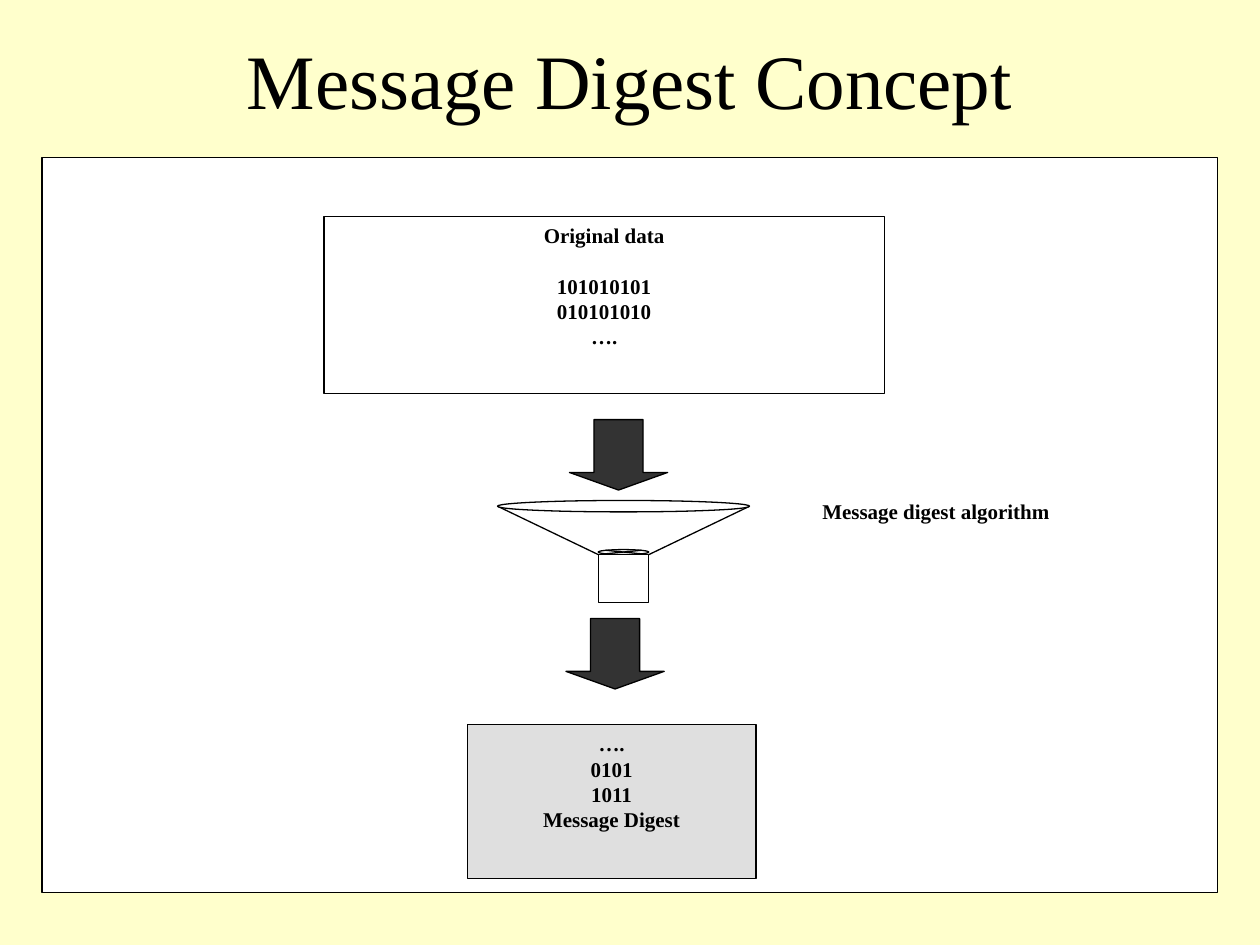
import pptx
import pptx.dml.color
import pptx.enum.shapes
import pptx.enum.text
import pptx.oxml.ns
import pptx.util
from lxml import etree
from pptx.util import Cm

COLORS = {
    "background": "FFFFCC",
    "white": "FFFFFF",
    "ink": "000000",
    "arrow": "333333",
    "digest": "C0C0C0",
}
FONT = "Times New Roman"
SHAPE = pptx.enum.shapes.MSO_SHAPE
ANCHOR = pptx.enum.text.MSO_ANCHOR


def color(name):
    return pptx.dml.color.RGBColor.from_string(COLORS[name])


class SlideBuilder:
    """Draws elements on one slide in a shared style; lengths are centimetres."""

    def __init__(self, slide):
        self.slide = slide
        self.line_width = pptx.util.Pt(0.75)
        slide.background.fill.solid()
        slide.background.fill.fore_color.rgb = color("background")

    def set_text(self, shape, lines, size, bold, anchor, gap_before=None):
        """Fill a shape with centred lines; gap_before is the index of the line set apart."""
        frame = shape.text_frame
        frame.word_wrap = True
        frame.vertical_anchor = anchor
        for index, line in enumerate(lines):
            paragraph = frame.add_paragraph() if index else frame.paragraphs[0]
            paragraph.text = line
            paragraph.alignment = pptx.enum.text.PP_ALIGN.CENTER
            if index == gap_before:
                paragraph.space_before = pptx.util.Pt(14.4)
            font = paragraph.font
            font.name = FONT
            font.size = pptx.util.Pt(size)
            font.bold = bold
            font.color.rgb = color("ink")

    def title(self, text, left, top, width, height):
        box = self.slide.shapes.add_textbox(Cm(left), Cm(top), Cm(width), Cm(height))
        self.set_text(box, [text], 44, False, ANCHOR.MIDDLE)

    def shape(self, kind, left, top, width, height, fill="white", outlined=True, opacity=100):
        shape = self.slide.shapes.add_shape(kind, Cm(left), Cm(top), Cm(width), Cm(height))
        shape.shadow.inherit = False
        shape.fill.solid()
        shape.fill.fore_color.rgb = color(fill)
        if opacity < 100:
            rgb = shape._element.spPr.find(".//" + pptx.oxml.ns.qn("a:srgbClr"))
            etree.SubElement(rgb, pptx.oxml.ns.qn("a:alpha"), val=str(opacity * 1000))
        if outlined:
            shape.line.color.rgb = color("ink")
            shape.line.width = self.line_width
        else:
            shape.line.fill.background()
        return shape

    def text_box(self, lines, left, top, width, height, gap_before=None, **style):
        shape = self.shape(SHAPE.RECTANGLE, left, top, width, height, **style)
        self.set_text(shape, lines, 12, True, ANCHOR.TOP, gap_before)

    def line(self, start, end):
        connector = self.slide.shapes.add_connector(
            pptx.enum.shapes.MSO_CONNECTOR.STRAIGHT, *map(Cm, start + end))
        connector.line.color.rgb = color("ink")
        connector.line.width = self.line_width
        etree.SubElement(connector._element.spPr, pptx.oxml.ns.qn("a:effectLst"))

    def funnel(self, center, rim_top, rim_width, neck_top, neck_width):
        rim_height, neck_height, joint_height = 0.23, 0.97, 0.1
        neck_left = center - neck_width / 2
        for side in (-1, 1):
            self.line((center + side * rim_width / 2, rim_top + rim_height / 2),
                      (center + side * neck_width / 2, neck_top))
        self.shape(SHAPE.FLOWCHART_SUMMING_JUNCTION, neck_left, neck_top - joint_height,
                   neck_width, joint_height)
        self.shape(SHAPE.FLOWCHART_PROCESS, neck_left, neck_top, neck_width, neck_height)
        self.shape(SHAPE.OVAL, center - rim_width / 2, rim_top, rim_width, rim_height)

    def down_arrow(self, left, top):
        arrow = self.shape(SHAPE.DOWN_ARROW, left, top, 1.98, 1.42, fill="arrow")
        arrow.adjustments[0] = 0.5
        arrow.adjustments[1] = 0.25


def main():
    presentation = pptx.Presentation()
    presentation.slide_width = Cm(25.4)
    presentation.slide_height = Cm(19.05)
    builder = SlideBuilder(presentation.slides.add_slide(presentation.slide_layouts[6]))

    builder.title("Message Digest Concept", 1.9, 0.85, 21.6, 1.48)
    builder.shape(SHAPE.RECTANGLE, 0.85, 3.17, 23.7, 14.82)
    builder.text_box(["Original data", "101010101", "010101010", "…."],
                     6.53, 4.37, 11.3, 3.56, gap_before=1)
    builder.funnel(center=12.57, rim_top=10.09, rim_width=5.08, neck_top=11.18, neck_width=1.02)
    builder.text_box(["….", "0101", "1011", "Message Digest"],
                     9.42, 14.61, 5.82, 3.1, fill="digest", opacity=50)
    builder.down_arrow(11.48, 8.46)
    builder.down_arrow(11.41, 12.47)
    builder.text_box(["Message digest algorithm"], 16.1, 9.93, 5.54, 2.13, outlined=False)

    presentation.save("out.pptx")


if __name__ == "__main__":
    main()
